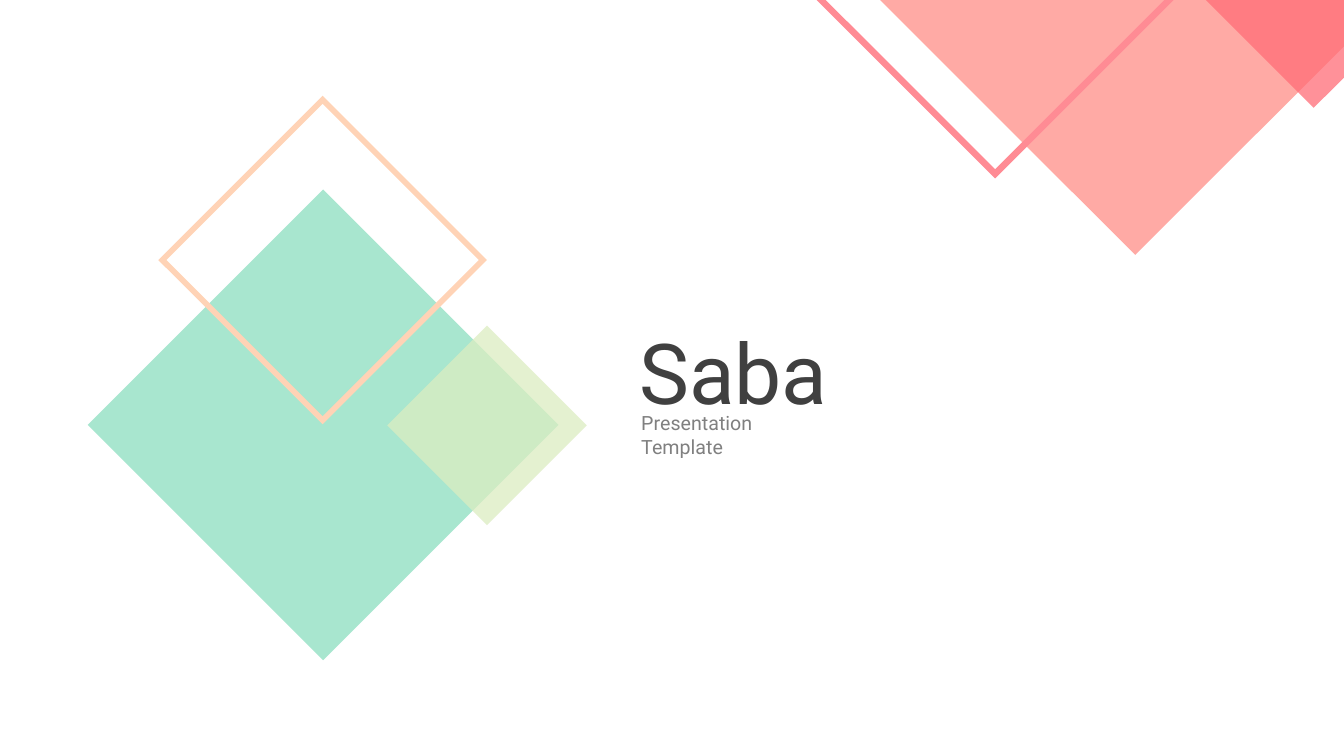
from lxml import etree
from pptx import Presentation
from pptx.dml.color import RGBColor
from pptx.enum.shapes import MSO_SHAPE
from pptx.enum.text import MSO_ANCHOR, MSO_AUTO_SIZE, PP_ALIGN
from pptx.oxml.ns import qn
from pptx.util import Inches, Pt

DIAMOND = MSO_SHAPE.DIAMOND
TOP = MSO_ANCHOR.TOP
LEFT = PP_ALIGN.LEFT
NO_AUTOFIT = MSO_AUTO_SIZE.NONE

WIDTH, HEIGHT = 13.33, 7.5
FONT = "Roboto"
COLOURS = {
    "background": "FFFFFF",
    "mint": "A8E6CF",
    "peach": "FFD3B6",
    "lime": "DCEDC1",
    "salmon": "FFAAA5",
    "pink": "FF8B94",
    "red": "FF6D77",
    "title": "404040",
    "subtitle": "808080",
}


class CoverSlide:
    """Holds the style and the current slide."""

    def __init__(self, presentation):
        self.slide = presentation.slides.add_slide(presentation.slide_layouts[0])
        fill = self.slide.background.fill
        fill.solid()
        fill.fore_color.rgb = self.colour("background")

    def colour(self, name):
        return RGBColor.from_string(COLOURS[name])

    def paint(self, shape, colour, opacity=100):
        shape.shadow.inherit = False
        shape.line.fill.background()
        shape.fill.solid()
        shape.fill.fore_color.rgb = self.colour(colour)
        if opacity < 100:
            value = next(shape.fill._xPr.iter(qn("a:srgbClr")))
            etree.SubElement(value, qn("a:alpha")).set("val", str(opacity * 1000))

    def diamond(self, left, top, size, colour, opacity=100):
        shape = self.slide.shapes.add_shape(
            DIAMOND, Inches(left), Inches(top), Inches(size), Inches(size))
        self.paint(shape, colour, opacity)

    def outline(self, contours, colour, opacity=100):
        """Fill one or more closed contours as a single shape."""
        scaled = [[(Inches(x), Inches(y)) for x, y in points] for points in contours]
        builder = self.slide.shapes.build_freeform(*scaled[0][0], scale=1.0)
        for index, (start, *others) in enumerate(scaled):
            if index:
                builder.move_to(*start)
            builder.add_line_segments(others, close=True)
        self.paint(builder.convert_to_shape(), colour, opacity)

    def diamond_frame(self, x, y, outer, inner, colour):
        """Draw a hollow diamond from its centre and two radii."""
        hole = [(x, y - inner), (x - inner, y), (x, y + inner), (x + inner, y)]
        edge = [(x, y - outer), (x + outer, y), (x, y + outer), (x - outer, y)]
        self.outline([hole, edge], colour)

    def text(self, index, left, top, width, height, wording, size, colour):
        shape = self.slide.placeholders[index]
        shape.left, shape.top = Inches(left), Inches(top)
        shape.width, shape.height = Inches(width), Inches(height)
        frame = shape.text_frame
        frame.word_wrap = True
        frame.auto_size = NO_AUTOFIT
        frame.vertical_anchor = TOP
        paragraph = frame.paragraphs[0]
        paragraph.alignment = LEFT
        paragraph.space_before = Pt(0)
        paragraph.line_spacing = 1.0
        run = paragraph.add_run()
        run.text = wording
        run.font.name = FONT
        run.font.size = Pt(size)
        run.font.color.rgb = self.colour(colour)


def main():
    presentation = Presentation()
    presentation.slide_width = Inches(WIDTH)
    presentation.slide_height = Inches(HEIGHT)
    cover = CoverSlide(presentation)

    # Diamonds on the left
    cover.diamond(0.87, 1.88, 4.67, "mint")
    cover.diamond_frame(3.2, 2.58, 1.63, 1.55, "peach")
    cover.diamond(3.84, 3.23, 1.98, "lime", 75)

    # Title and subtitle
    cover.text(0, 6.24, 3.13, 2.13, 1.11, "Saba", 60, "title")
    cover.text(1, 6.26, 4.03, 2.07, 0.57, "Presentation Template", 14, "subtitle")

    # Diamonds cut off by the top right corner
    cover.outline([[(8.73, 0), (WIDTH, 0), (WIDTH, 0.46), (11.26, 2.53)]], "salmon")
    cover.outline([[(8.1, 0), (8.19, 0), (9.87, 1.68), (11.55, 0), (11.64, 0),
                    (9.87, 1.77)]], "pink")
    cover.outline([[(11.96, 0), (WIDTH, 0), (WIDTH, 0.77), (13.03, 1.07)]], "red", 75)

    presentation.save("out.pptx")


if __name__ == "__main__":
    main()
